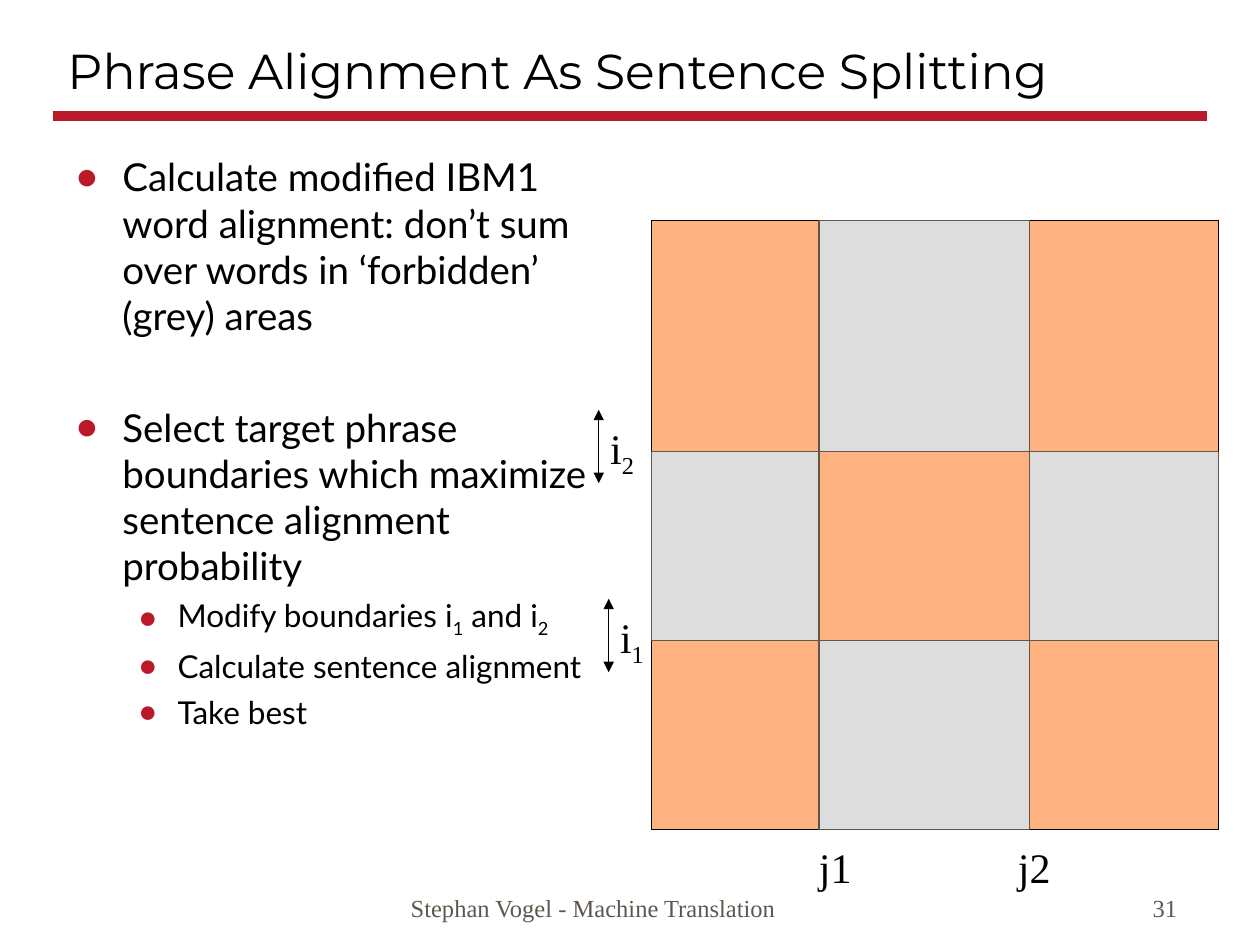
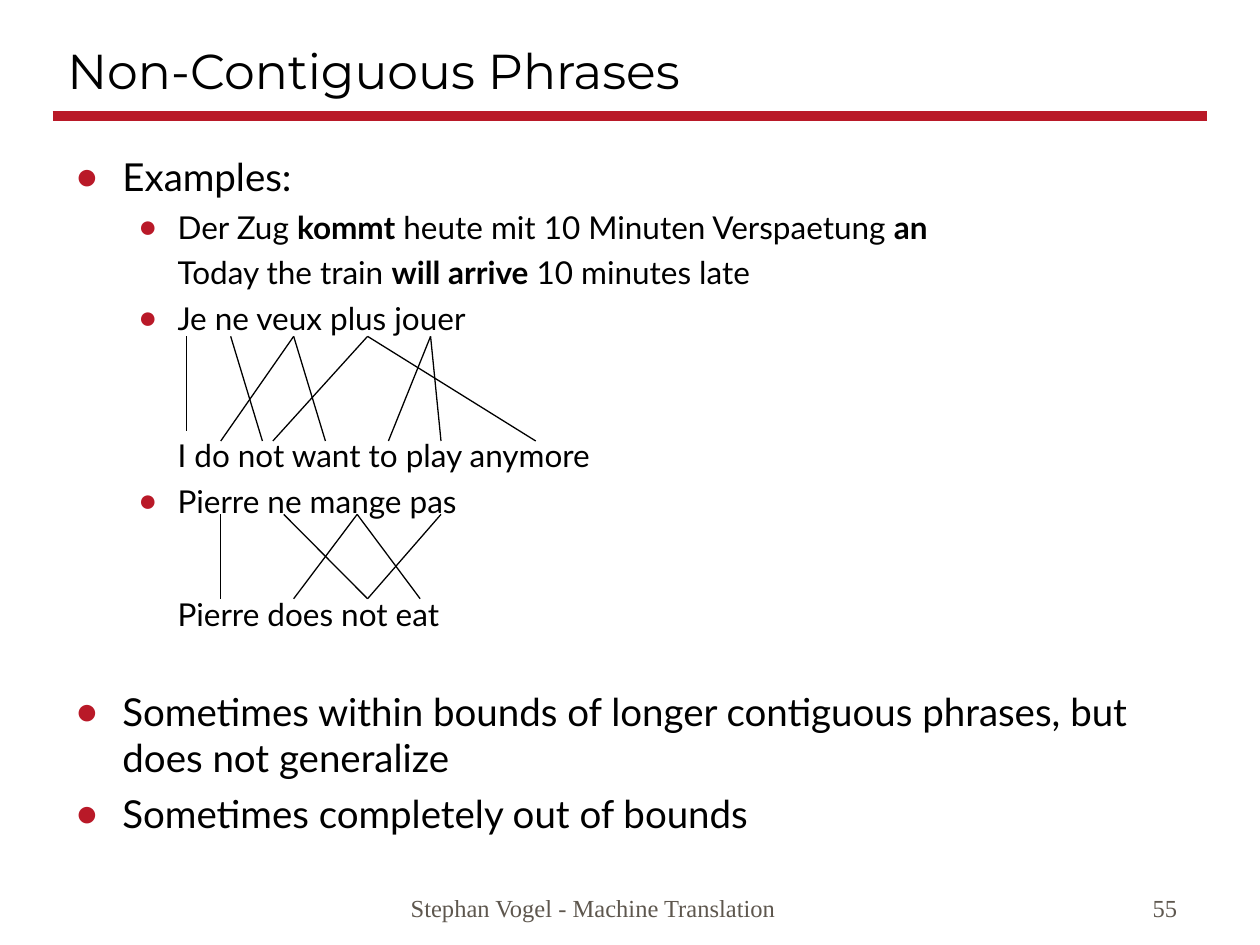
from lxml import etree
from pptx import Presentation
from pptx.dml.color import RGBColor
from pptx.enum.shapes import MSO_CONNECTOR as Connector, MSO_SHAPE as Shape
from pptx.enum.text import MSO_ANCHOR as Anchor, PP_ALIGN as Align
from pptx.oxml.ns import qn
from pptx.util import Cm, Pt

COLORS = {"black": "000000", "red": "B91928", "brown": "5E574E",
          "orange": "FF6600", "grey": "DDDDDD"}
TITLE_FONT, BODY_FONT, LABEL_FONT = "Montserrat", "Lato", "Times New Roman"
LEVELS = [
    {"size": 22, "margin": 0.95, "hang": 0.95, "before": 5.5},
    {"size": 18, "margin": 2.06, "hang": 0.79, "before": 4.5},
]


def rgb(name):
    return RGBColor.from_string(COLORS[name])


class Deck:
    def __init__(self):
        self.prs = Presentation()
        self.prs.slide_width, self.prs.slide_height = Cm(25.4), Cm(19.05)
        self.slide = None

    def start_slide(self, title, number):
        self.slide = self.prs.slides.add_slide(self.prs.slide_layouts[6])
        self.line((1.06, 2.34), (24.34, 2.34), "red", 6)
        self.text(title, 1.11, 0.64, 23.2, 1.48, 28, TITLE_FONT, anchor=Anchor.BOTTOM)
        footer = {"size": 14, "color": "brown", "anchor": Anchor.BOTTOM}
        self.text("Stephan Vogel - Machine Translation", 8.03, 17.46, 12.5, 1.27, **footer)
        self.text(str(number), 20.96, 17.46, 3.02, 1.27, align=Align.RIGHT, **footer)

    def frame(self, left, top, width, height, wrap=True):
        box = self.slide.shapes.add_textbox(Cm(left), Cm(top), Cm(width), Cm(height))
        box.text_frame.word_wrap = wrap
        return box.text_frame

    def style(self, paragraph, size, font, color):
        paragraph.font.size = Pt(size)
        paragraph.font.name = font
        paragraph.font.color.rgb = rgb(color)

    def fill_runs(self, paragraph, parts):
        for text, mark in [(parts, "")] if isinstance(parts, str) else parts:
            run = paragraph.add_run()
            run.text = text
            if mark == "bold":
                run.font.bold = True
            elif mark == "sub":
                run._r.get_or_add_rPr().set("baseline", "-25000")

    def text(self, parts, left, top, width, height, size=24, font=LABEL_FONT,
             color="black", anchor=Anchor.TOP, align=Align.LEFT, wrap=True):
        frame = self.frame(left, top, width, height, wrap)
        frame.vertical_anchor = anchor
        paragraph = frame.paragraphs[0]
        paragraph.alignment = align
        self.fill_runs(paragraph, parts)
        self.style(paragraph, size, font, color)

    def bullet(self, paragraph):
        props = paragraph._p.get_or_add_pPr()
        color = etree.SubElement(props, qn("a:buClr"))
        etree.SubElement(color, qn("a:srgbClr"), val=COLORS["red"])
        etree.SubElement(props, qn("a:buFont"), typeface=LABEL_FONT)
        etree.SubElement(props, qn("a:buChar"), char="●")

    def outline(self, items, width, height):
        frame = self.frame(1.27, 2.97, width, height)
        for index, (level, parts, *options) in enumerate(items):
            look = LEVELS[level]
            bulleted, before = options or (True, look["before"])
            paragraph = frame.add_paragraph() if index else frame.paragraphs[0]
            paragraph.level = level
            if index:
                paragraph.space_before = Pt(before)
            props = paragraph._p.get_or_add_pPr()
            props.set("marL", str(Cm(look["margin"])))
            props.set("indent", str(-Cm(look["hang"]) if bulleted else 0))
            if bulleted:
                self.bullet(paragraph)
            self.fill_runs(paragraph, parts)
            self.style(paragraph, look["size"], BODY_FONT, "black")

    def box(self, left, top, right, bottom, fill, line, weight, alpha=None):
        shape = self.slide.shapes.add_shape(
            Shape.RECTANGLE, Cm(left), Cm(top), Cm(right - left), Cm(bottom - top))
        shape.shadow.inherit = False
        shape.fill.solid()
        shape.fill.fore_color.rgb = rgb(fill)
        shape.line.color.rgb = rgb(line)
        shape.line.width = Pt(weight)
        if alpha:
            color = shape._element.spPr.find(qn("a:solidFill"))[0]
            etree.SubElement(color, qn("a:alpha"), val=str(alpha * 1000))

    def line(self, start, end, color="black", weight=0.75, arrows=False):
        link = self.slide.shapes.add_connector(
            Connector.STRAIGHT, *(Cm(value) for value in (*start, *end)))
        link.line.color.rgb = rgb(color)
        link.line.width = Pt(weight)
        if arrows:
            for tip in ("a:headEnd", "a:tailEnd"):
                etree.SubElement(link.line._get_or_add_ln(), qn(tip), type="triangle")
        etree.SubElement(link._element.spPr, qn("a:effectLst"))

    def word_links(self, pairs, top, bottom):
        for source, target in pairs:
            self.line((source, top), (target, bottom))


def splitting_slide(deck):
    deck.start_slide("Phrase Alignment As Sentence Splitting", 31)
    deck.outline([
        (0, "Calculate modified IBM1 word alignment: don’t sum over words in "
            "‘forbidden’ (grey) areas"),
        (0, "Select target phrase boundaries which maximize sentence alignment "
            "probability", True, 37.4),
        (1, [("Modify boundaries i", ""), ("1", "sub"), (" and i", ""), ("2", "sub")]),
        (1, "Calculate sentence alignment"),
        (1, "Take best"),
    ], 10.8, 13.87)

    columns = [13.13, 16.51, 20.75, 24.56]
    rows = [4.45, 9.1, 12.91, 16.72]
    deck.box(columns[0], rows[0], columns[-1], rows[-1], "orange", "black", 0.75, alpha=50)
    for row in range(3):
        for column in range(3):
            if (row + column) % 2:
                deck.box(columns[column], rows[row], columns[column + 1], rows[row + 1],
                         "grey", "brown", 0)

    for label, left in (("j1", 16.26), ("j2", 20.27)):
        deck.text(label, left, 16.84, 1.17, 1.27, wrap=False)
    for index, x, top in (("1", 12.27, 12.07), ("2", 12.07, 8.26)):
        deck.line((x, top), (x, top + 1.48), arrows=True)
        deck.text([("i", ""), (index, "sub")], x - 0.02, top + 0.13, 0.99, 1.42, wrap=False)


def phrases_slide(deck):
    deck.start_slide("Non-Contiguous Phrases", 55)
    deck.outline([
        (0, "Examples:"),
        (1, [("Der Zug ", ""), ("kommt", "bold"),
             (" heute mit 10 Minuten Verspaetung ", ""), ("an", "bold")]),
        (1, [("Today the train ", ""), ("will arrive", "bold"),
             (" 10 minutes late", "")], False, 4.5),
        (1, "Je ne veux plus jouer"),
        (1, "I do not want to play anymore", False, 56.7),
        (1, "Pierre ne mange pas"),
        (1, "Pierre does not eat", False, 43.2),
        (0, "Sometimes within bounds of longer contiguous phrases, but does not "
            "generalize", True, 31.6),
        (0, "Sometimes completely out of bounds"),
    ], 22.71, 14.81)

    ne, veux, plus, jouer = 4.65, 5.92, 7.41, 8.68
    deck.word_links([(3.76, 3.76)], 6.78, 8.69)
    deck.word_links([(ne, 5.29), (veux, 4.45), (veux, 6.56), (plus, 5.5),
                     (plus, 10.8), (jouer, 7.83), (jouer, 8.89)], 6.78, 8.89)
    pierre, mange, negation = 4.45, 7.2, 7.41
    deck.word_links([(pierre, pierre), (5.72, negation), (8.89, negation),
                     (mange, 5.92), (mange, 8.47)], 10.37, 12.07)


def main():
    deck = Deck()
    splitting_slide(deck)
    phrases_slide(deck)
    deck.prs.save("out.pptx")


if __name__ == "__main__":
    main()
